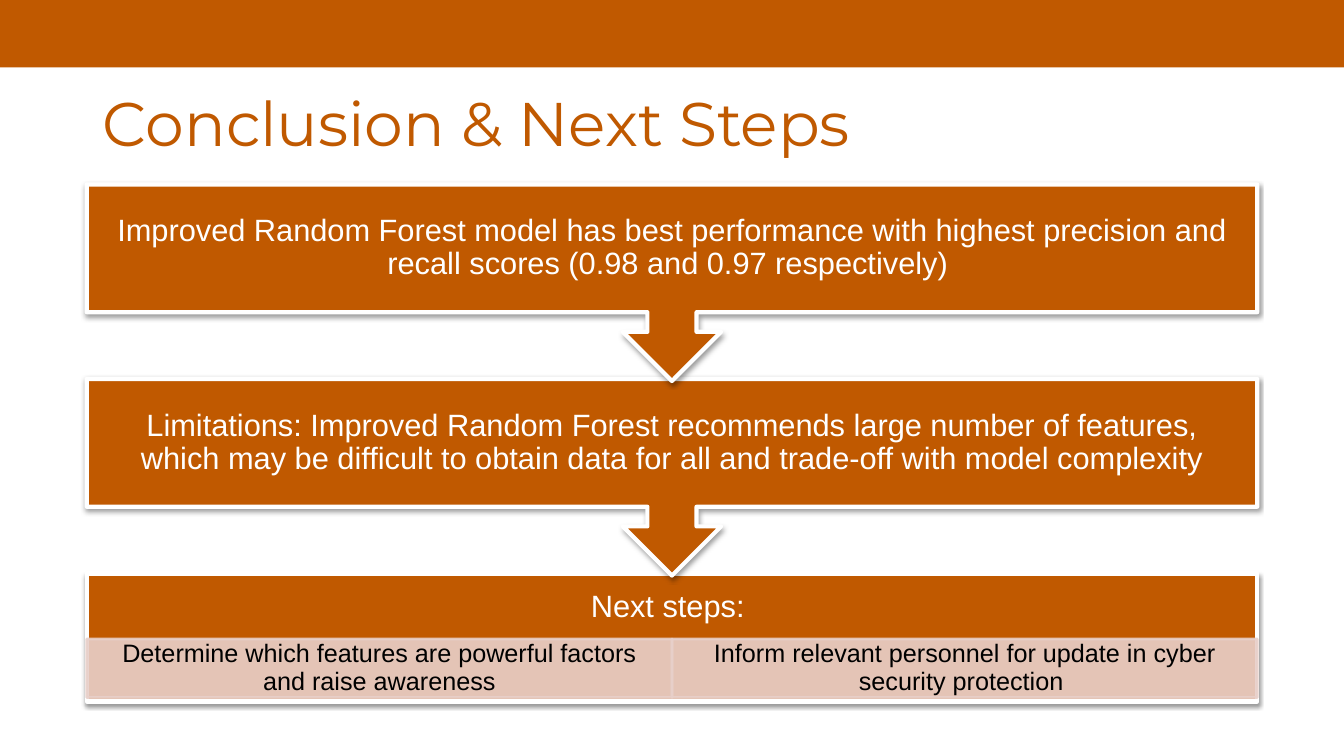
from pptx import Presentation
from pptx.dml.color import RGBColor
from pptx.enum.shapes import MSO_SHAPE as Shape
from pptx.enum.text import MSO_ANCHOR as Anchor, MSO_AUTO_SIZE as Fit, PP_ALIGN as Align
from pptx.oxml.ns import qn
from pptx.util import Inches, Pt
from lxml.etree import SubElement as Sub

RUST, PINK, WHITE, BLACK = "C05900", "E8D0CA", "FFFFFF", "000000"
LEFT, WIDE = 0.86, 11.61
TOP, PITCH = 1.83, 1.93
STEPS = (
    "Improved Random Forest model has best performance with highest precision and recall scores (0.98 and 0.97 respectively) ",
    "Limitations: Improved Random Forest recommends large number of features, which may be difficult to obtain data for all and trade-off with model complexity",
)
TASKS = (
    "Determine which features are powerful factors and raise awareness",
    "Inform relevant personnel for update in cyber security protection ",
)


def paint(color, tone):
    color.rgb = RGBColor.from_string(tone)


def write(shape, text, size, tone, pads, font="Arial", align=Align.CENTER, anchor=Anchor.MIDDLE):
    frame = shape.text_frame
    frame.text = text
    frame.word_wrap = True
    frame.auto_size = Fit.NONE
    frame.vertical_anchor = anchor
    frame.margin_left = frame.margin_right = Inches(pads[0])
    frame.margin_top, frame.margin_bottom = Inches(pads[1]), Inches(pads[2])
    para = frame.paragraphs[0]
    para.alignment = align
    para.line_spacing = 0.9
    para.space_before = Pt(0)
    para.font.name, para.font.size = font, Pt(size)
    paint(para.font.color, tone)


def block(slide, kind, box, tone, edge=None, width=0):
    shape = slide.shapes.add_shape(kind, *map(Inches, box))
    shape.shadow.inherit = False
    shape.fill.solid()
    paint(shape.fill.fore_color, tone)
    if edge:
        shape.line.width = Pt(width)
        paint(shape.line.color, edge)
    else:
        shape.line.fill.background()
    return shape


def shade(shape):
    glow = Sub(shape.element.spPr.find(qn("a:effectLst")), qn("a:outerShdw"),
               blurRad=str(Pt(3.1)), dist=str(Pt(1.6)), dir="5400000", rotWithShape="0")
    tint = Sub(glow, qn("a:srgbClr"), val=BLACK)
    Sub(tint, qn("a:alpha"), val="38000")


def fade(shape):
    for tint in shape.element.spPr.iter(qn("a:srgbClr")):
        Sub(tint, qn("a:alpha"), val="90000")


def panel(slide, kind, row, high, text, foot):
    shape = block(slide, kind, (LEFT, TOP + row * PITCH, WIDE, high), RUST, WHITE, 3)
    shade(shape)
    write(shape, text, 22, WHITE, (0.17, 0.17, foot))
    return shape


def task(slide, col, text):
    half = WIDE / len(TASKS)
    shape = block(slide, Shape.RECTANGLE, (LEFT + col * half, 6.34, half, 0.58), PINK, PINK, 2)
    fade(shape)
    write(shape, text, 18, BLACK, (0.14, 0.02, 0.02))


def head(slide, text):
    title = slide.shapes.title
    title.left, title.top, title.width, title.height = map(Inches, (0.92, 0.88, 11.5, 1.45))
    write(title, text, 44, RUST, (0.1, 0.05, 0.05), "Montserrat", Align.LEFT, Anchor.TOP)


def main():
    deck = Presentation()
    deck.slide_width, deck.slide_height = Inches(13.33), Inches(7.5)
    slide = deck.slides.add_slide(deck.slide_layouts[5])
    block(slide, Shape.RECTANGLE, (0, 0, 13.33, 0.67), RUST)
    head(slide, "Conclusion & Next Steps")
    panel(slide, Shape.RECTANGLE, len(STEPS), 1.27, "Next steps: ", 0.76)
    for col, text in enumerate(TASKS):
        task(slide, col, text)
    for row, text in reversed(list(enumerate(STEPS))):
        step = panel(slide, Shape.DOWN_ARROW_CALLOUT, row, 1.95, text, 0.17)
        for spot, part in enumerate((0.25, 0.25, 0.25, 0.65)):
            step.adjustments[spot] = part
    deck.save("out.pptx")


if __name__ == "__main__":
    main()
